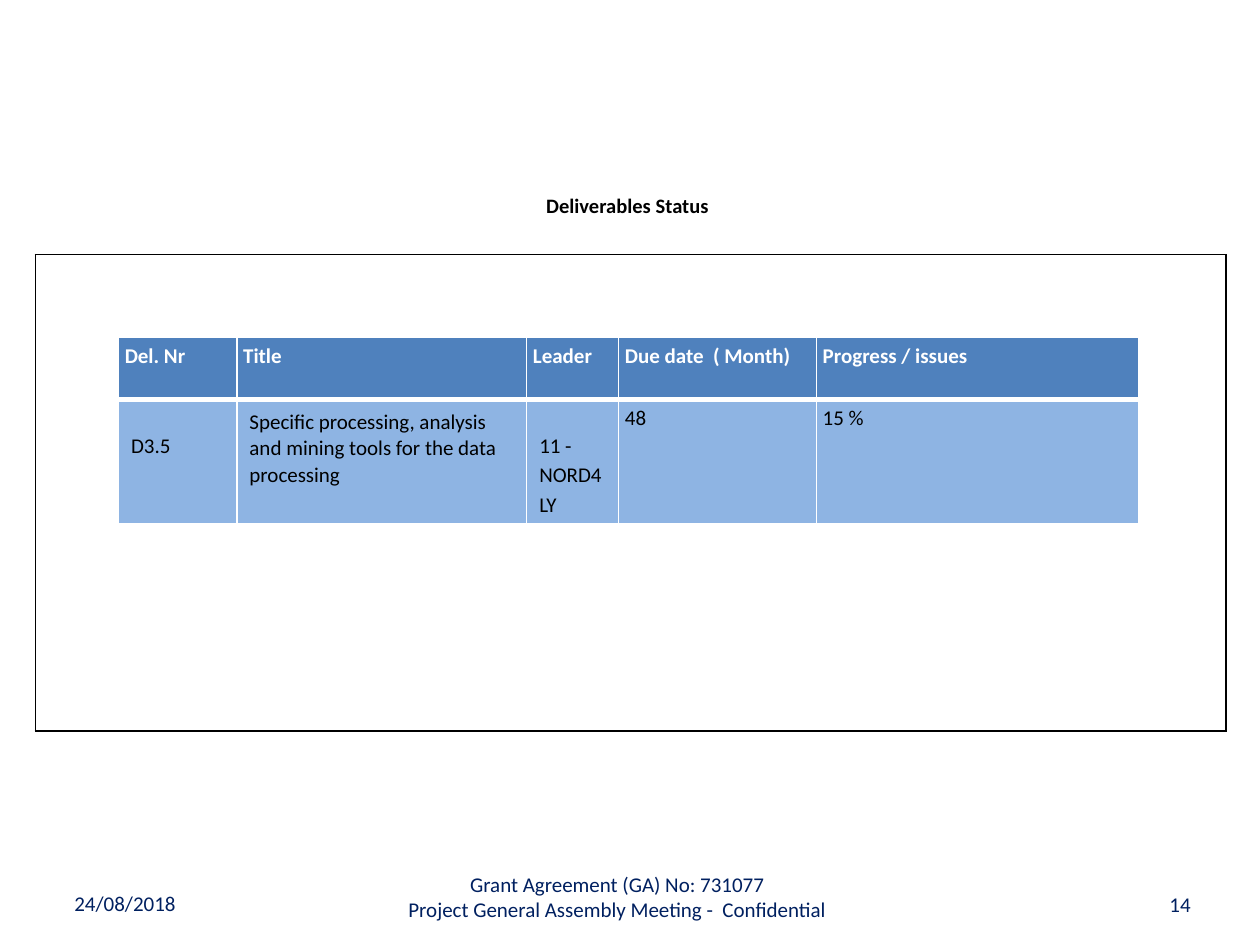
from dataclasses import dataclass

import pptx
import pptx.dml.color
import pptx.enum.text
import pptx.oxml
import pptx.oxml.ns
import pptx.util

Inches, Pt = pptx.util.Inches, pptx.util.Pt
Align, Anchor = pptx.enum.text.PP_ALIGN, pptx.enum.text.MSO_ANCHOR
COLORS = {"ink": "000000", "white": "FFFFFF", "navy": "002060",
          "head": "4F81BD", "body": "8EB4E3"}
THIN, THICK = 0.96, 3
PAD = 0.05
SIDES = ("left", "top", "right", "bottom")


@dataclass
class Label:
    lines: list[str]
    box: tuple[float, float, float, float]
    align: Align
    anchor: Anchor = Anchor.MIDDLE


@dataclass
class Entry:
    text: str
    side: float = PAD
    top: float = PAD
    format: dict | None = None


LABELS = [
    Label(["Grant Agreement (GA) No: 731077",
           "Project General Assembly Meeting -  Confidential"],
          (2.4, 6.87, 5, 0.5), Align.CENTER, Anchor.TOP),
    Label(["14"], (9.2, 7.03, 0.3, 0.29), Align.RIGHT),
    Label(["24/08/2018"], (0.54, 7.02, 2.33, 0.3), Align.LEFT),
]
HEADS = ["Del. Nr", "Title", "Leader", "Due date  ( Month)", "Progress / issues"]
LOW = {"side": 0.1, "top": 0.24, "format": {"line_spacing": 1.15}}
ENTRIES = [
    Entry("D3.5", **LOW),
    Entry("Specific processing, analysis and mining tools for the data processing",
          0.1, 0.07, {"line_spacing": 1.04}),
    Entry("11 - NORD4LY", **LOW),
    Entry("48"),
    Entry("15\u00a0%".replace("\u00a0", " ")),
]


def apply(item, values: dict) -> None:
    for name, value in values.items():
        setattr(item, name, value)


def style(para, color: str, size: float = 12, bold: bool = False) -> None:
    apply(para.font, {"name": "Calibri", "size": Pt(size), "bold": bold})
    para.font.color.rgb = pptx.dml.color.RGBColor.from_string(COLORS[color])


def pad(frame) -> None:
    apply(frame, {f"margin_{side}": Inches(PAD) for side in SIDES})


def write(frame, label: Label, color: str, size: float = 12, bold: bool = False) -> None:
    pad(frame)
    apply(frame, {"word_wrap": True, "vertical_anchor": label.anchor,
                  "text": "\n".join(label.lines)})
    for para in frame.paragraphs:
        para.alignment = label.align
        style(para, color, size, bold)


def edge(cell, color: str, bottom: float = THIN) -> None:
    """Draw the four borders of a cell, under its fill in the XML order."""
    props = cell._tc.get_or_add_tcPr()
    space = pptx.oxml.ns.nsdecls("a")
    for spot, (tag, width) in enumerate(
            [("lnL", THIN), ("lnR", THIN), ("lnT", THIN), ("lnB", bottom)]):
        props.insert(spot, pptx.oxml.parse_xml(
            f'<a:{tag} {space} w="{Pt(width)}"><a:solidFill>'
            f'<a:srgbClr val="{COLORS[color]}"/></a:solidFill></a:{tag}>'))


def grid(slide, left: float, top: float, cols: list[float], rows: list[float]):
    table = slide.shapes.add_table(
        len(rows), len(cols), Inches(left), Inches(top),
        Inches(sum(cols)), Inches(sum(rows))).table
    apply(table, {"first_row": False, "horz_banding": False})
    for col, width in zip(table.columns, cols):
        col.width = Inches(width)
    for row, height in zip(table.rows, rows):
        row.height = Inches(height)
    return table


def fill(cell, entry: Entry, back: str, color: str, bold: bool, bottom: float) -> None:
    cell.fill.solid()
    cell.fill.fore_color.rgb = pptx.dml.color.RGBColor.from_string(COLORS[back])
    apply(cell, {"text": entry.text, "margin_top": Inches(entry.top),
                 "margin_bottom": Inches(PAD), "margin_left": Inches(entry.side),
                 "margin_right": Inches(entry.side)})
    para = cell.text_frame.paragraphs[0]
    apply(para, entry.format or {})
    style(para, color, bold=bold)
    edge(cell, "white", bottom)


def main() -> None:
    deck = pptx.Presentation()
    apply(deck, {"slide_width": Inches(10), "slide_height": Inches(7.5)})
    slide = deck.slides.add_slide(deck.slide_layouts[5])

    frame = grid(slide, 0.28, 2.02, [9.45], [3.78]).cell(0, 0)
    frame.fill.background()
    edge(frame, "ink")

    table = grid(slide, 0.94, 2.68, [0.94, 2.3, 0.73, 1.57, 2.56], [0.49, 0.98])
    for col, (head, entry) in enumerate(zip(HEADS, ENTRIES)):
        fill(table.cell(0, col), Entry(head), "head", "white", True, THICK)
        fill(table.cell(1, col), entry, "body", "ink", False, THIN)
        edge_top = table.cell(1, col)._tc.tcPr.find(pptx.oxml.ns.qn("a:lnT"))
        edge_top.set("w", str(Pt(THICK)))

    title = Label(["Deliverables Status"], (1.91, 1.4, 6.14, 0.46), Align.CENTER)
    sides = ("left", "top", "width", "height")
    apply(slide.shapes.title, dict(zip(sides, map(Inches, title.box))))
    write(slide.shapes.title.text_frame, title, "ink", 11.7, True)
    slide.shapes.title.text_frame.auto_size = pptx.enum.text.MSO_AUTO_SIZE.NONE

    for label in LABELS:
        box = slide.shapes.add_textbox(*map(Inches, label.box))
        write(box.text_frame, label, "navy")

    deck.save("out.pptx")


if __name__ == "__main__":
    main()
